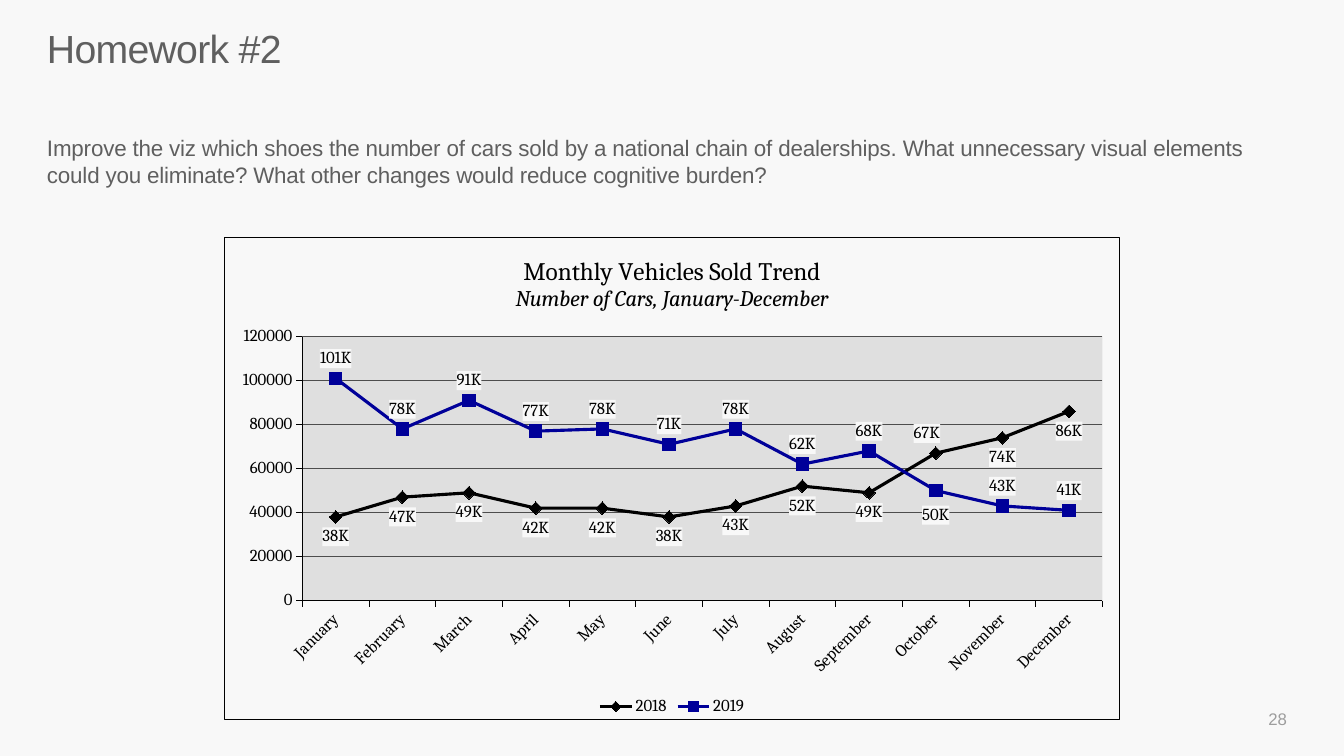
from copy import deepcopy

from lxml import etree
from pptx import Presentation
from pptx.chart.data import CategoryChartData
from pptx.dml.color import RGBColor
from pptx.enum.chart import (XL_CHART_TYPE, XL_LABEL_POSITION, XL_LEGEND_POSITION,
                             XL_MARKER_STYLE, XL_TICK_MARK)
from pptx.enum.text import MSO_ANCHOR, PP_ALIGN
from pptx.oxml import parse_xml
from pptx.oxml.ns import nsdecls, qn
from pptx.util import Inches, Pt

LINE_MARKERS = XL_CHART_TYPE.LINE_MARKERS
ABOVE, BELOW = XL_LABEL_POSITION.ABOVE, XL_LABEL_POSITION.BELOW
DIAMOND, SQUARE = XL_MARKER_STYLE.DIAMOND, XL_MARKER_STYLE.SQUARE
BOTTOM, OUTSIDE = XL_LEGEND_POSITION.BOTTOM, XL_TICK_MARK.OUTSIDE
TOP, MIDDLE = MSO_ANCHOR.TOP, MSO_ANCHOR.MIDDLE
LEFT, RIGHT = PP_ALIGN.LEFT, PP_ALIGN.RIGHT

WIDTH, HEIGHT = Inches(13.33), Inches(7.5)
COLORS = {"background": "F8F8F8", "text": "5F5F5F", "number": "9D9D9D", "ink": "000000",
          "plot": "DFDFDF", "grid": "4D4D4D", "diamond": "191919", "blue": "000099"}
CHART_FONT = "Cambria"
OCTOBER = 9

MONTHS = ["January", "February", "March", "April", "May", "June", "July",
          "August", "September", "October", "November", "December"]
SALES = {
    "2018": [38, 47, 49, 42, 42, 38, 43, 52, 49, 67, 74, 86],
    "2019": [101, 78, 91, 77, 78, 71, 78, 62, 68, 50, 43, 41],
}


def color(name):
    return RGBColor.from_string(COLORS[name])


def area(left, top, width, height):
    """Turn shares of the slide into lengths."""
    return [int(share * side) for share, side in
            zip((left, top, width, height), (WIDTH, HEIGHT) * 2)]


def set_font(font, size, tone="ink", name=CHART_FONT, italic=False):
    font.size, font.name = Pt(size), name
    font.bold, font.italic = False, italic
    font.color.rgb = color(tone)


def set_line(line, tone, width):
    line.color.rgb = color(tone)
    line.width = Pt(width)


def add_text(slide, place, text, size, tone="text", spacing=0, line_spacing=1.0,
             align=LEFT, anchor=TOP, inset=0.0):
    frame = slide.shapes.add_textbox(*area(*place)).text_frame
    frame.word_wrap, frame.vertical_anchor = True, anchor
    frame.margin_left = frame.margin_right = Inches(inset)
    frame.margin_top = frame.margin_bottom = Inches(inset / 2)
    paragraph = frame.paragraphs[0]
    paragraph.alignment, paragraph.line_spacing = align, line_spacing
    run = paragraph.add_run()
    run.text = text
    set_font(run.font, size, tone, "Arial")
    if spacing:
        run.font._element.set("spc", str(int(spacing * 100)))


def box_format(fill=None, border=None):
    """Fill and border for the parts of a chart."""
    def paint(tone):
        if tone is None:
            return "<a:noFill/>"
        return f'<a:solidFill><a:srgbClr val="{COLORS[tone]}"/></a:solidFill>'
    return parse_xml(f'<c:spPr {nsdecls("c", "a")}>{paint(fill)}'
                     f'<a:ln w="{Pt(0.75)}">{paint(border)}</a:ln></c:spPr>')


def manual_layout(**shares):
    values = "".join(f'<c:{key} val="{value}"/>' for key, value in shares.items())
    return parse_xml(f'<c:layout {nsdecls("c")}><c:manualLayout>{values}'
                     '</c:manualLayout></c:layout>')


def style_axis(axis):
    axis.major_tick_mark = OUTSIDE
    set_font(axis.tick_labels.font, 12)
    set_line(axis.format.line, "ink", 0.75)


def style_series(series, tone, marker, marker_tone, position, october_position, shift):
    series.smooth = False
    set_line(series.format.line, tone, 2.25)
    series.marker.style, series.marker.size = marker, 9
    series.marker.format.fill.solid()
    series.marker.format.fill.fore_color.rgb = color(marker_tone)
    set_line(series.marker.format.line, marker_tone, 0.75)

    labels = series.data_labels
    labels.show_value = True
    labels.number_format, labels.number_format_is_linked = '#,"K"', False
    set_font(labels.font, 12)
    labels.position = position
    group = labels._element
    group.find(qn("c:txPr")).addprevious(box_format("background"))

    # October label sits on the other side of the line
    october = series.points[OCTOBER].data_label
    october.position = october_position
    label = group.find(qn("c:dLbl"))
    for tag in ("c:numFmt", "c:spPr", "c:txPr"):
        label.find(qn("c:dLblPos")).addprevious(deepcopy(group.find(qn(tag))))
    label.find(qn("c:idx")).addnext(manual_layout(**shift))


def add_title(chart):
    frame = chart.chart_title.text_frame
    heading, subtitle = frame.paragraphs[0], frame.add_paragraph()
    for paragraph, text, size, italic in (
            (heading, "Monthly Vehicles Sold Trend", 18, False),
            (subtitle, "Number of Cars, January-December", 16, True)):
        run = paragraph.add_run()
        run.text = text
        set_font(run.font, size, italic=italic)


def add_sales_chart(slide, place):
    data = CategoryChartData(number_format="General")
    data.categories = MONTHS
    for year, thousands in SALES.items():
        data.add_series(year, [value * 1000 for value in thousands])
    chart = slide.shapes.add_chart(LINE_MARKERS, *area(*place), data).chart
    set_font(chart.font, 10, "text")
    add_title(chart)

    # Axes and gridlines
    months, cars = chart.category_axis, chart.value_axis
    style_axis(months)
    style_axis(cars)
    month_text = months._element.find(qn("c:txPr"))
    month_text.find(qn("a:bodyPr")).set("rot", str(-45 * 60000))
    cars.minimum_scale, cars.maximum_scale, cars.major_unit = 0, 120000, 20000
    cars.has_major_gridlines = True
    set_line(cars.major_gridlines.format.line, "grid", 0.75)

    # Legend
    chart.has_legend = True
    chart.legend.position, chart.legend.include_in_layout = BOTTOM, False
    set_font(chart.legend.font, 12)

    # Lines
    plot = chart.plots[0]
    plot.vary_by_categories = False
    style_series(plot.series[0], "ink", DIAMOND, "diamond", BELOW, ABOVE, {"x": -0.01, "y": 0})
    style_series(plot.series[1], "blue", SQUARE, "blue", ABOVE, BELOW, {"x": 0, "y": 0.01})

    # Plot area and outer border
    space = chart._chartSpace
    plot_area = space.find(qn("c:chart")).find(qn("c:plotArea"))
    for layout in plot_area.findall(qn("c:layout")):
        plot_area.remove(layout)
    plot_area.insert(0, manual_layout(layoutTarget="inner", xMode="edge", yMode="edge",
                                      x=0.087, y=0.206, w=0.894, h=0.547))
    plot_area.append(box_format("plot"))
    space.find(qn("c:txPr")).addprevious(box_format(border="ink"))
    if space.find(qn("c:roundedCorners")) is None:
        corners = etree.Element(qn("c:roundedCorners"), val="0")
        space.find(qn("c:date1904")).addnext(corners)


def main():
    deck = Presentation()
    deck.slide_width, deck.slide_height = WIDTH, HEIGHT
    slide = deck.slides.add_slide(deck.slide_layouts[6])
    slide.background.fill.solid()
    slide.background.fill.fore_color.rgb = color("background")

    # Heading and task
    add_text(slide, (0.035, 0.041, 0.93, 0.12), "Homework #2", 28,
             spacing=-0.5, line_spacing=0.86)
    add_text(slide, (0.035, 0.177, 0.93, 0.12),
             "Improve the viz which shoes the number of cars sold by a national chain of "
             "dealerships. What unnecessary visual elements could you eliminate? What other "
             "changes would reduce cognitive burden?", 16, spacing=-0.1)

    # Chart and page number
    add_sales_chart(slide, (1 / 6, 0.313, 2 / 3, 0.64))
    add_text(slide, (0.74, 0.925, 0.225, 0.053), "28", 12, "number",
             align=RIGHT, anchor=MIDDLE, inset=0.1)
    deck.save("out.pptx")


if __name__ == "__main__":
    main()
